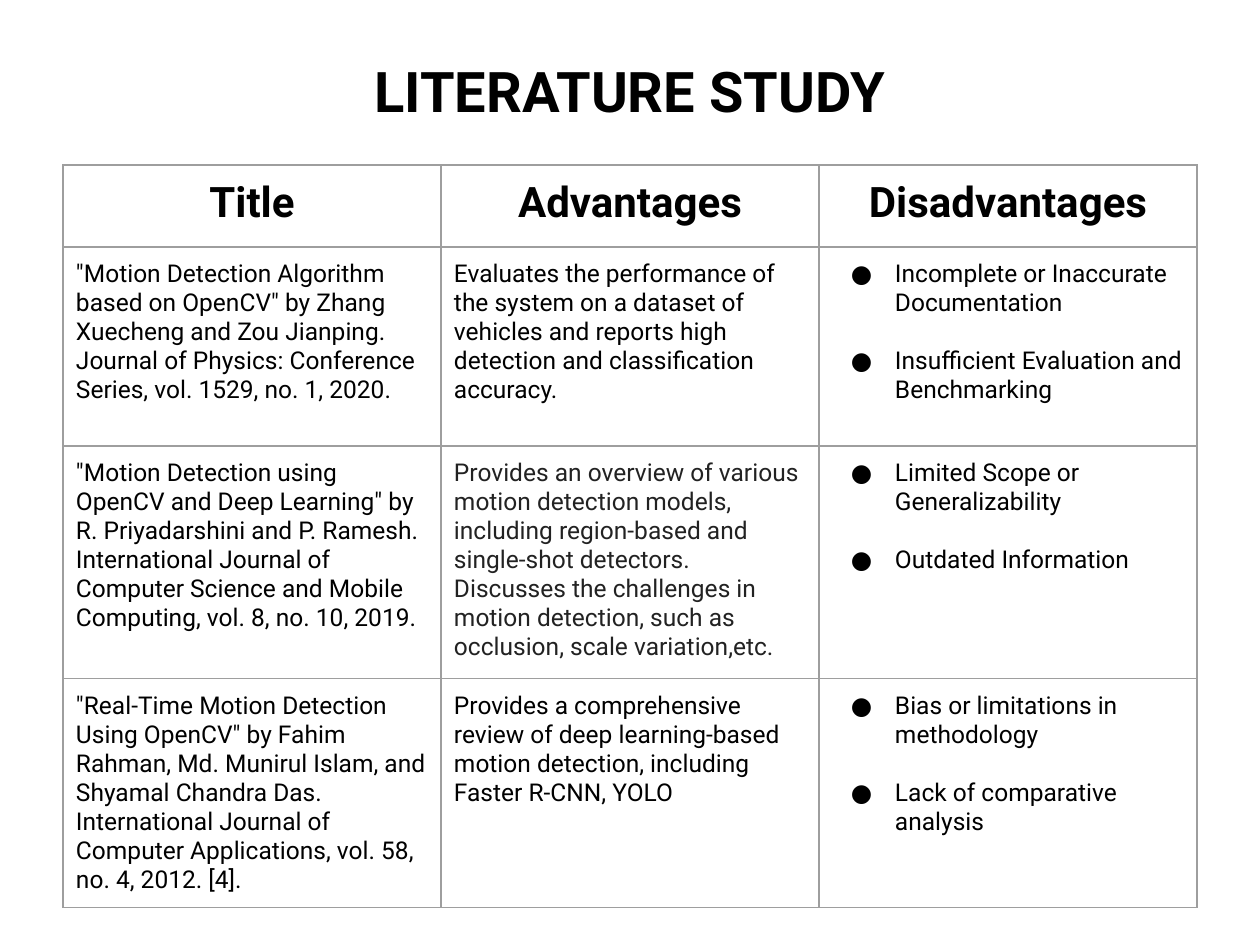
from lxml.etree import SubElement
from pptx import Presentation
from pptx.dml.color import RGBColor
from pptx.enum.text import MSO_ANCHOR as Anchor, MSO_AUTO_SIZE as AutoSize, PP_ALIGN as Align
from pptx.oxml import parse_xml
from pptx.oxml.ns import nsdecls, qn
from pptx.util import Pt

FONT = "Roboto"
BLACK = RGBColor(0x00, 0x00, 0x00)
CHARCOAL = RGBColor(0x22, 0x22, 0x22)
WHITE = RGBColor(0xFF, 0xFF, 0xFF)
GRID = RGBColor(0x9E, 0x9E, 0x9E)

COLUMN_WIDTH = 378
ROW_HEIGHTS = (82, 199, 233, 229)
CELL_MARGIN = 13
HEADINGS = ("Title", "Advantages", "Disadvantages")
STUDIES = (
    ('"Motion Detection Algorithm based on OpenCV" by Zhang Xuecheng and Zou Jianping. '
     "Journal of Physics: Conference Series, vol. 1529, no. 1, 2020.",
     "Evaluates the performance of the system on a dataset of vehicles and reports high "
     "detection and classification accuracy.", BLACK,
     ("Incomplete or Inaccurate Documentation",
      "Insufficient Evaluation and Benchmarking")),
    ('"Motion Detection using OpenCV and Deep Learning" by R. Priyadarshini and P. Ramesh. '
     "International Journal of Computer Science and Mobile Computing, vol. 8, no. 10, 2019.",
     "Provides an overview of various motion detection models, including region-based and "
     "single-shot detectors. Discusses the challenges in motion detection, such as "
     "occlusion, scale variation,etc.", CHARCOAL,
     ("Limited Scope or Generalizability", "Outdated Information")),
    ('"Real-Time Motion Detection Using OpenCV" by Fahim Rahman, Md. Munirul Islam, and '
     "Shyamal Chandra Das. International Journal of Computer Applications, vol. 58, no. 4, "
     "2012. [4].",
     "Provides a comprehensive review of deep learning-based motion detection, including "
     "Faster R-CNN, YOLO", BLACK,
     ("Bias or limitations in methodology", "Lack of comparative analysis")),
)


def px(length):
    return round(length * 914400 / 126)


def add_bullet(paragraph):
    props = paragraph._p.get_or_add_pPr()
    props.set("marL", str(px(63)))
    props.set("indent", str(px(-44)))
    SubElement(SubElement(props, qn("a:buClr")), qn("a:srgbClr"), val=str(BLACK))
    SubElement(props, qn("a:buFont"), typeface=FONT)
    SubElement(props, qn("a:buChar"), char="●")


def write(frame, *lines, size=14, color=BLACK, bold=False, align=Align.LEFT,
          bullets=False, gap=0):
    """Fill a text frame with one paragraph per line, gap points apart."""
    for index, line in enumerate(lines):
        paragraph = frame.add_paragraph() if index else frame.paragraphs[0]
        paragraph.alignment = align
        paragraph.space_before = Pt(gap if index else 0)
        if bullets:
            add_bullet(paragraph)
        run = paragraph.add_run()
        run.text = line
        font = run.font
        font.name, font.size, font.bold = FONT, Pt(size), bold
        font.color.rgb = color


def format_cell(cell):
    cell.margin_left = cell.margin_right = px(CELL_MARGIN)
    cell.margin_top = cell.margin_bottom = px(CELL_MARGIN)
    cell.vertical_anchor = Anchor.TOP
    cell.fill.background()
    props = cell._tc.get_or_add_tcPr()
    for position, side in enumerate("LRTB"):
        props.insert(position, parse_xml(
            f'<a:ln{side} {nsdecls("a")} w="{Pt(0.75)}"><a:solidFill>'
            f'<a:srgbClr val="{GRID}"/></a:solidFill></a:ln{side}>'))


def place_title(slide, left, top, width, height):
    title = slide.shapes.title
    title.left, title.top, title.width, title.height = map(px, (left, top, width, height))
    frame = title.text_frame
    frame.vertical_anchor = Anchor.MIDDLE
    frame.auto_size = AutoSize.NONE
    write(frame, "LITERATURE STUDY", size=32, bold=True, align=Align.CENTER)


def add_study_table(slide, left, top):
    width, height = COLUMN_WIDTH * len(HEADINGS), sum(ROW_HEIGHTS)
    table = slide.shapes.add_table(len(ROW_HEIGHTS), len(HEADINGS),
                                   *map(px, (left, top, width, height))).table
    table.first_row = table.horz_banding = False
    for column in table.columns:
        column.width = px(COLUMN_WIDTH)
    for row, row_height in zip(table.rows, ROW_HEIGHTS):
        row.height = px(row_height)
    for cell in table.iter_cells():
        format_cell(cell)

    for column, heading in enumerate(HEADINGS):
        write(table.cell(0, column).text_frame, heading,
              size=24, bold=True, align=Align.CENTER)
    for row, (citation, advantage, advantage_color, drawbacks) in enumerate(STUDIES, 1):
        write(table.cell(row, 0).text_frame, citation)
        write(table.cell(row, 1).text_frame, advantage, color=advantage_color)
        write(table.cell(row, 2).text_frame, *drawbacks, bullets=True, gap=16.5)


def main():
    deck = Presentation()
    deck.slide_width, deck.slide_height = px(1260), px(945)
    slide = deck.slides.add_slide(deck.slide_layouts[5])
    slide.background.fill.solid()
    slide.background.fill.fore_color.rgb = WHITE
    place_title(slide, 63, 38, 1134, 105)
    add_study_table(slide, 63, 165)
    deck.save("out.pptx")


if __name__ == "__main__":
    main()
